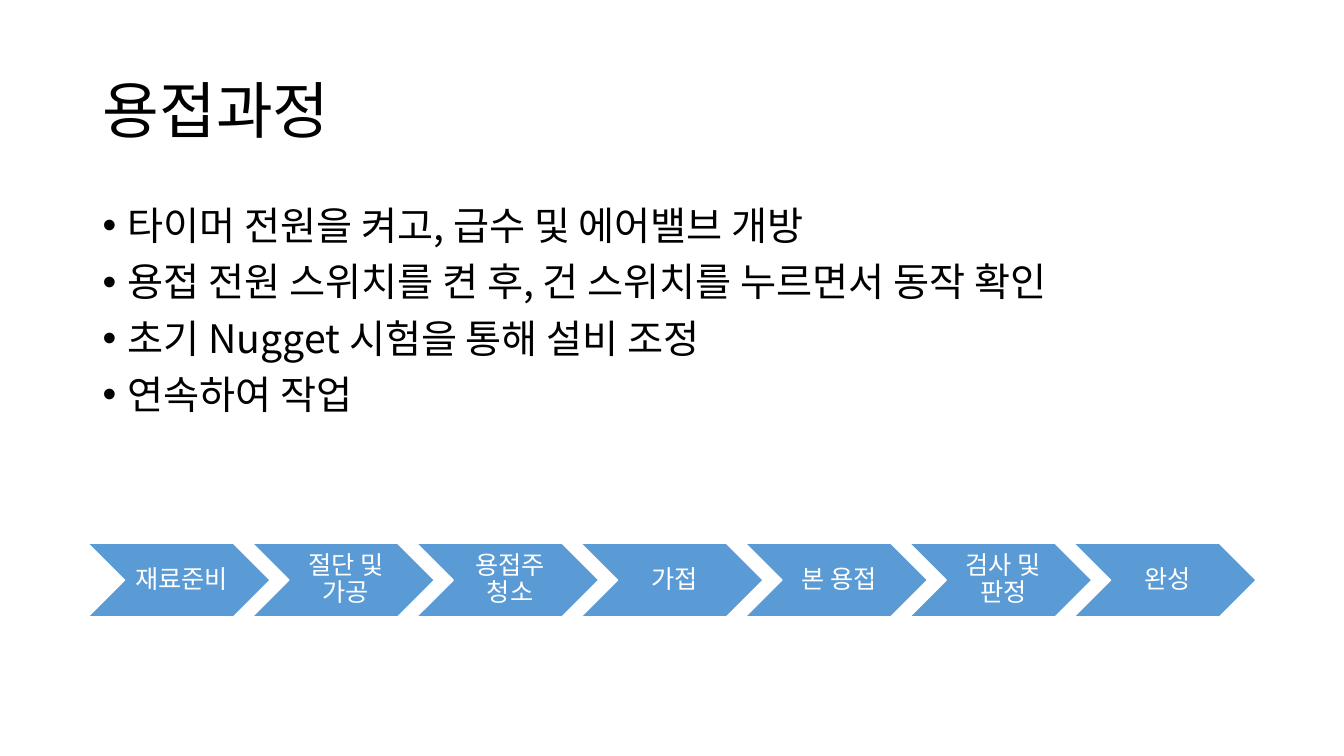
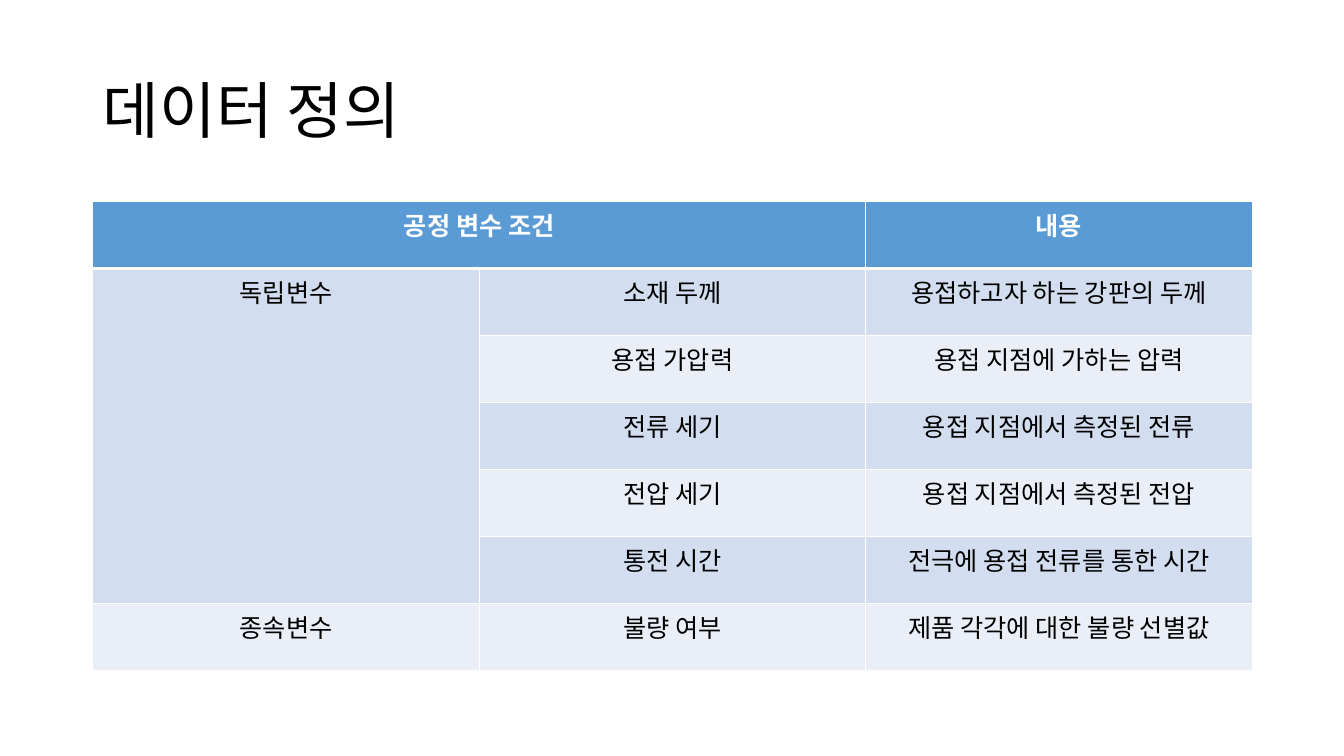
from lxml.etree import SubElement
from pptx import Presentation
from pptx.dml.color import RGBColor
from pptx.enum.shapes import MSO_SHAPE
from pptx.enum.text import MSO_ANCHOR, MSO_AUTO_SIZE, PP_ALIGN
from pptx.oxml.ns import qn
from pptx.util import Inches, Pt

COLORS = {
    "text": "000000",
    "white": "FFFFFF",
    "accent": "5B9BD5",
    "band_dark": "D2DEEF",
    "band_light": "EAEFF7",
}
FONT = "Noto Sans CJK KR"
LEFT, WIDTH = Inches(0.92), Inches(11.5)

deck = Presentation()
deck.slide_width, deck.slide_height = Inches(13.33), Inches(7.5)


def add_text(para, text, size, color="text", bold=False):
    """Add one run, with the font set for Latin and Korean letters alike."""
    span = para.add_run()
    span.text = text
    span.font.size = Pt(size)
    span.font.bold = bold
    span.font.color.rgb = RGBColor.from_string(COLORS[color])
    span.font.name = FONT
    SubElement(span.font._element, qn("a:ea"), typeface=FONT)


def add_page(heading):
    page = deck.slides.add_slide(deck.slide_layouts[5])
    title = page.shapes.title
    title.left, title.top, title.width, title.height = LEFT, Inches(0.4), WIDTH, Inches(1.45)
    frame = title.text_frame
    frame.auto_size = MSO_AUTO_SIZE.NONE
    frame.vertical_anchor = MSO_ANCHOR.MIDDLE
    para = frame.paragraphs[0]
    para.alignment = PP_ALIGN.LEFT
    para.line_spacing = 0.9
    add_text(para, heading, 44)
    return page


# Welding process: bullet list and a row of chevrons
page = add_page("용접과정")
instructions = [
    "타이머 전원을 켜고, 급수 및 에어밸브 개방",
    "용접 전원 스위치를 켠 후, 건 스위치를 누르면서 동작 확인",
    "초기 Nugget 시험을 통해 설비 조정",
    "연속하여 작업",
]
box = page.shapes.add_textbox(LEFT, Inches(2), WIDTH, Inches(2.4))
box.text_frame.word_wrap = True
for index, instruction in enumerate(instructions):
    para = box.text_frame.add_paragraph() if index else box.text_frame.paragraphs[0]
    para.line_spacing = 0.9
    if index:
        para.space_before = Pt(10)
    properties = para._p.get_or_add_pPr()
    properties.set("marL", str(Inches(0.25)))
    properties.set("indent", str(Inches(-0.25)))
    SubElement(properties, qn("a:buFont"), typeface="Arial")
    SubElement(properties, qn("a:buChar"), char="•")
    add_text(para, instruction, 28)

steps = ["재료준비", "절단 및 가공", "용접주 청소", "가접", "본 용접", "검사 및 판정", "완성"]
for index, step in enumerate(steps):
    chevron = page.shapes.add_shape(
        MSO_SHAPE.CHEVRON, Inches(0.87 + 1.63 * index), Inches(5.39), Inches(1.81), Inches(0.73))
    chevron.shadow.inherit = False
    chevron.fill.solid()
    chevron.fill.fore_color.rgb = RGBColor.from_string(COLORS["accent"])
    chevron.line.color.rgb = RGBColor.from_string(COLORS["white"])
    chevron.line.width = Pt(1)
    frame = chevron.text_frame
    frame.word_wrap = True
    frame.vertical_anchor = MSO_ANCHOR.MIDDLE
    frame.margin_left = Inches(0.08)
    frame.margin_top = frame.margin_right = frame.margin_bottom = Inches(0.03)
    para = frame.paragraphs[0]
    para.alignment = PP_ALIGN.CENTER
    para.line_spacing = 0.9
    add_text(para, step, 18, "white")

# Data definition: table of variables
page = add_page("데이터 정의")
rows = [
    ["공정 변수 조건", "", "내용"],
    ["독립변수", "소재 두께", "용접하고자 하는 강판의 두께"],
    ["", "용접 가압력", "용접 지점에 가하는 압력"],
    ["", "전류 세기", "용접 지점에서 측정된 전류"],
    ["", "전압 세기", "용접 지점에서 측정된 전압"],
    ["", "통전 시간", "전극에 용접 전류를 통한 시간"],
    ["종속변수", "불량 여부", "제품 각각에 대한 불량 선별값"],
]
table = page.shapes.add_table(len(rows), 3, LEFT, Inches(2), WIDTH, Inches(4.65)).table
table.cell(0, 0).merge(table.cell(0, 1))
table.cell(1, 0).merge(table.cell(5, 0))
for row, texts in enumerate(rows):
    header = row == 0
    fill = "accent" if header else "band_dark" if row % 2 else "band_light"
    for column, text in enumerate(texts):
        cell = table.cell(row, column)
        properties = cell._tc.get_or_add_tcPr()
        for side in ("lnL", "lnR", "lnT", "lnB"):
            thick = (header and side == "lnB") or (row == 1 and side == "lnT")
            border = SubElement(properties, qn(f"a:{side}"), w=str(Pt(3 if thick else 1)))
            paint = SubElement(border, qn("a:solidFill"))
            SubElement(paint, qn("a:srgbClr"), val=COLORS["white"])
        cell.fill.solid()
        cell.fill.fore_color.rgb = RGBColor.from_string(COLORS[fill])
        if text:
            para = cell.text_frame.paragraphs[0]
            para.alignment = PP_ALIGN.CENTER
            add_text(para, text, 18, "white" if header else "text", header)

deck.save("out.pptx")
